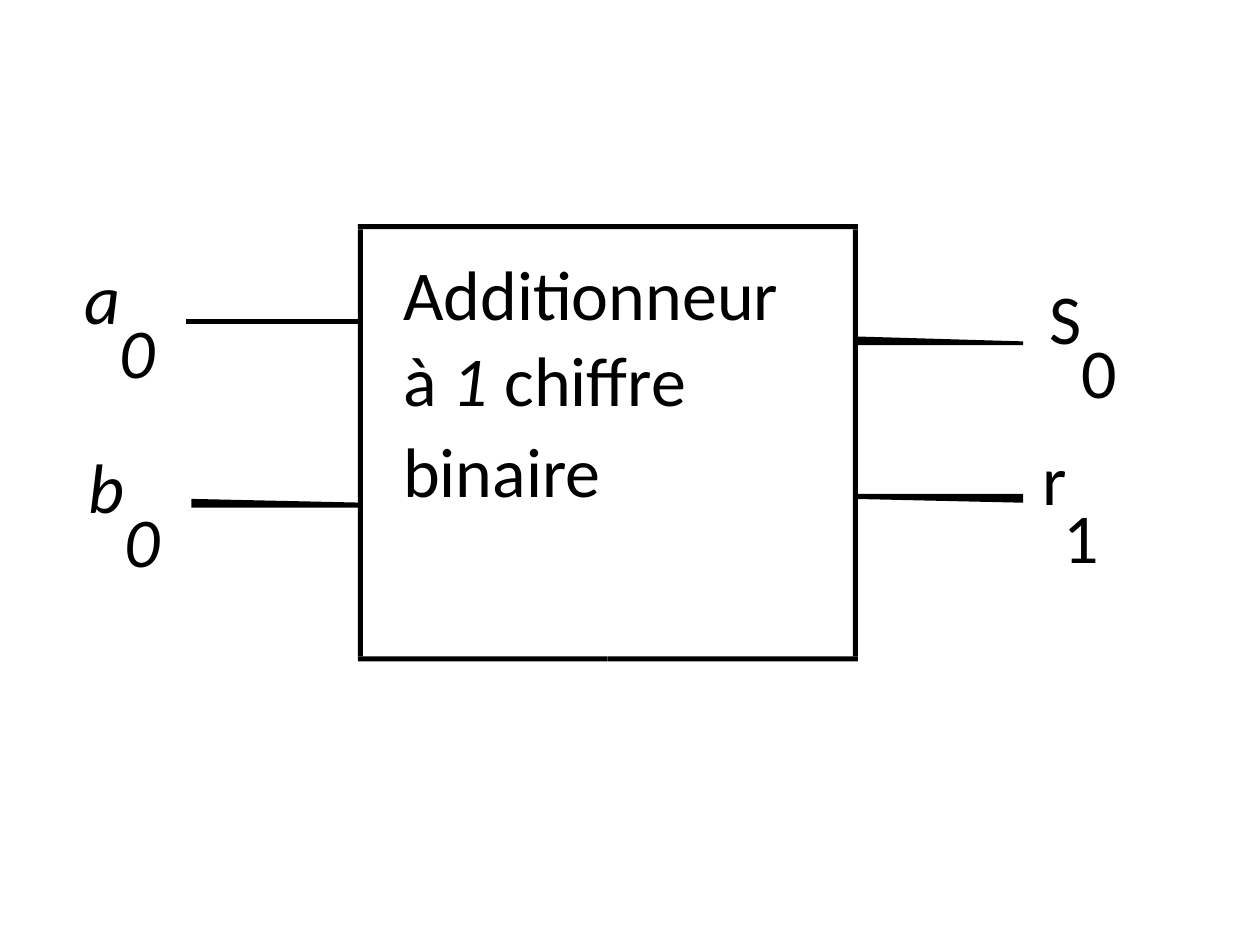
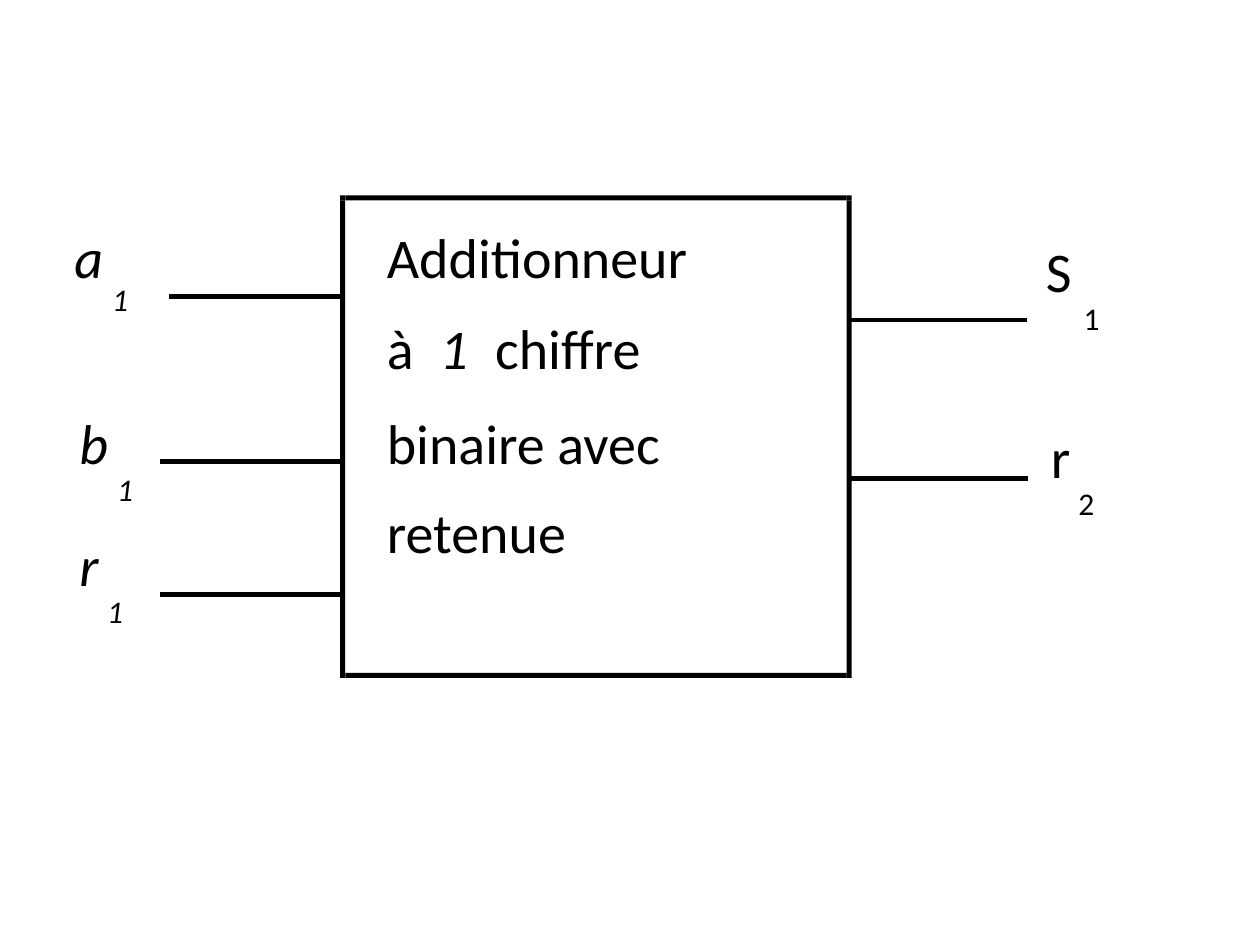
"""Build two slides showing a one-bit binary adder without and with carry input."""
from dataclasses import dataclass

from lxml.etree import SubElement
from pptx import Presentation
from pptx.dml.color import RGBColor
from pptx.enum.shapes import MSO_CONNECTOR as Connector, MSO_SHAPE as Shape
from pptx.oxml.ns import qn
from pptx.shapes.autoshape import Shape as AutoShape
from pptx.slide import Slide
from pptx.util import Pt

PX = 9144
FONT = "Calibri"
INK = "000000"
WIRE_WIDTH = Pt(2.8)
BAR = 4


@dataclass(frozen=True)
class Run:
    text: str
    italic: bool = False


@dataclass(frozen=True)
class Caption:
    left: int
    top: int
    width: int
    runs: tuple[Run, ...]


@dataclass(frozen=True)
class Signal:
    name: str
    left: int
    top: int
    subscript: str
    subscript_left: int
    subscript_top: int
    italic: bool = False


@dataclass(frozen=True)
class Wire:
    left: int
    right: int
    middle: int


@dataclass(frozen=True)
class TaperedWire:
    corners: tuple[tuple[int, int], ...]


@dataclass(frozen=True)
class Frame:
    left: int
    top: int
    right: int
    bottom: int


@dataclass(frozen=True)
class Adder:
    frame: Frame
    size: int
    subscript_size: int
    captions: tuple[Caption, ...]
    signals: tuple[Signal, ...]
    wires: tuple[Wire | TaperedWire, ...]


ADDERS = (
    Adder(
        frame=Frame(284, 178, 681, 525), size=40, subscript_size=40,
        captions=(
            Caption(320, 199, 310, (Run("Additionneur"),)),
            Caption(320, 267, 39, (Run("à"),)),
            Caption(359, 267, 28, (Run("1", True),)),
            Caption(388, 267, 170, (Run(" chiffre"),)),
            Caption(320, 339, 157, (Run("binaire"),)),
        ),
        signals=(
            Signal("a", 67, 202, "0", 95, 245, True),
            Signal("b", 70, 352, "0", 99, 395, True),
            Signal("S", 833, 218, "0", 858, 261),
            Signal("r", 827, 346, "1", 844, 392),
        ),
        wires=(
            Wire(148, 284, 255),
            TaperedWire(((152, 396), (288, 399), (288, 403), (152, 403))),
            TaperedWire(((677, 267), (812, 271), (812, 274), (677, 274))),
            TaperedWire(((677, 392), (812, 392), (812, 399), (677, 396))),
        ),
    ),
    Adder(
        frame=Frame(270, 155, 676, 538), size=32, subscript_size=18,
        captions=(
            Caption(307, 177, 249, (Run("Additionneur"),)),
            Caption(307, 249, 31, (Run("à"),)),
            Caption(349, 249, 23, (Run("1", True),)),
            Caption(383, 249, 136, (Run(" chiffre"),)),
            Caption(307, 324, 229, (Run("binaire avec"),)),
            Caption(307, 395, 144, (Run("retenue"),)),
        ),
        signals=(
            Signal("a", 59, 177, "1", 89, 222, True),
            Signal("b", 63, 324, "1", 93, 373, True),
            Signal("r", 63, 421, "1", 85, 470, True),
            Signal("S", 830, 188, "1", 860, 237),
            Signal("r", 834, 335, "2", 856, 384),
        ),
        wires=(
            Wire(134, 274, 235),
            Wire(127, 270, 366),
            Wire(127, 270, 472),
            Wire(672, 815, 254),
            Wire(674, 816, 380),
        ),
    ),
)


def color(value: str) -> RGBColor:
    return RGBColor.from_string(value)


def fill_with_ink(shape: AutoShape) -> None:
    shape.shadow.inherit = False
    shape.fill.solid()
    shape.fill.fore_color.rgb = color(INK)
    shape.line.fill.background()


def draw_caption(slide: Slide, caption: Caption, size: int) -> None:
    shape = slide.shapes.add_textbox(
        caption.left * PX, caption.top * PX, caption.width * PX, round(size * 1.67) * PX)
    frame = shape.text_frame
    frame.word_wrap = True
    frame.margin_left = frame.margin_top = frame.margin_right = frame.margin_bottom = 0
    paragraph = frame.paragraphs[0]
    for item in caption.runs:
        run = paragraph.add_run()
        run.text = item.text
        run.font.name = FONT
        run.font.size = Pt(size)
        run.font.italic = item.italic
        run.font.color.rgb = color(INK)


def draw_signal(slide: Slide, signal: Signal, size: int, subscript_size: int) -> None:
    for text, left, top, points in (
        (signal.name, signal.left, signal.top, size),
        (signal.subscript, signal.subscript_left, signal.subscript_top, subscript_size),
    ):
        runs = (Run(text, signal.italic),)
        draw_caption(slide, Caption(left, top, round(points * 0.72), runs), points)


def draw_wire(slide: Slide, wire: Wire) -> None:
    connector = slide.shapes.add_connector(
        Connector.STRAIGHT, wire.left * PX, wire.middle * PX, wire.right * PX, wire.middle * PX)
    connector.line.color.rgb = color(INK)
    connector.line.width = WIRE_WIDTH
    SubElement(connector.element.spPr, qn("a:effectLst"))


def draw_tapered_wire(slide: Slide, wire: TaperedWire) -> None:
    start, *others = wire.corners
    builder = slide.shapes.build_freeform(*start, scale=PX)
    builder.add_line_segments(others, close=True)
    fill_with_ink(builder.convert_to_shape())


def draw_frame(slide: Slide, frame: Frame) -> None:
    inner_left, inner_right = frame.left + BAR, frame.right - BAR
    inner_top, inner_bottom = frame.top + BAR, frame.bottom - BAR
    center = (frame.left + frame.right) // 2
    corners = [(x, y, x + BAR, y + BAR)
               for x in (frame.left, inner_right) for y in (frame.top, inner_bottom)]
    sides = [(x, inner_top, x + BAR, inner_bottom) for x in (frame.left, inner_right)]
    top = (inner_left, frame.top, inner_right, inner_top)
    bottom_halves = [(start, inner_bottom, end, frame.bottom)
                     for start, end in ((inner_left, center), (center, inner_right))]
    for left, upper, right, lower in (*corners, *sides, top, *bottom_halves):
        fill_with_ink(slide.shapes.add_shape(
            Shape.RECTANGLE, left * PX, upper * PX, (right - left) * PX, (lower - upper) * PX))


def draw_adder(slide: Slide, adder: Adder) -> None:
    draw_frame(slide, adder.frame)
    for caption in adder.captions:
        draw_caption(slide, caption, adder.size)
    for wire in adder.wires:
        if isinstance(wire, Wire):
            draw_wire(slide, wire)
        else:
            draw_tapered_wire(slide, wire)
    for signal in adder.signals:
        draw_signal(slide, signal, adder.size, adder.subscript_size)


def main() -> None:
    presentation = Presentation()
    presentation.slide_width = 1000 * PX
    presentation.slide_height = 750 * PX
    blank_layout = presentation.slide_layouts[6]
    for adder in ADDERS:
        draw_adder(presentation.slides.add_slide(blank_layout), adder)
    presentation.save("out.pptx")


if __name__ == "__main__":
    main()
